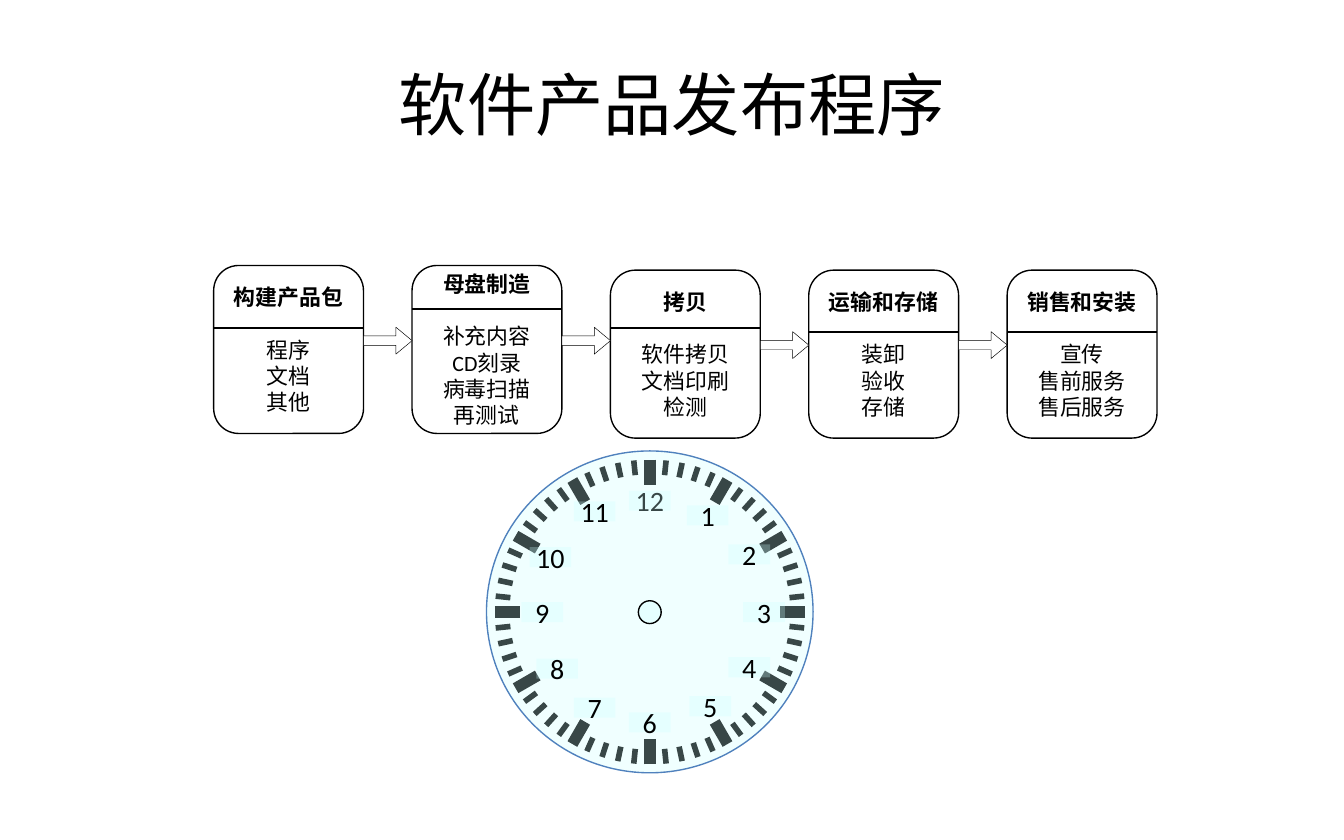
import math

from lxml import etree
from pptx import Presentation
from pptx.dml.color import RGBColor
from pptx.enum.shapes import MSO_CONNECTOR, MSO_SHAPE
from pptx.enum.text import MSO_ANCHOR, PP_ALIGN
from pptx.oxml.ns import qn
from pptx.util import Inches, Pt

STRAIGHT = MSO_CONNECTOR.STRAIGHT
ROUNDED, RECT = MSO_SHAPE.ROUNDED_RECTANGLE, MSO_SHAPE.RECTANGLE
ARROW, OVAL = MSO_SHAPE.RIGHT_ARROW, MSO_SHAPE.OVAL
CENTER, MIDDLE = PP_ALIGN.CENTER, MSO_ANCHOR.MIDDLE

BLACK, WHITE, AQUA, BLUE = "000000", "FFFFFF", "CCFFFF", "4F81BD"

prs = Presentation()
prs.slide_width, prs.slide_height = Inches(10), Inches(6.25)
s = prs.slides.add_slide(prs.slide_layouts[6])
U = prs.slide_width // 100  # grid of 100 columns by 62.5 rows


def paint(sp, fill=None, line=None, width=0.75, alpha=None):
    """Set fill, opacity in percent and outline, and remove the shadow."""
    props = sp._element.spPr
    if fill:
        sp.fill.solid()
        sp.fill.fore_color.rgb = RGBColor.from_string(fill)
        if alpha:
            color = props.find(qn("a:solidFill"))[0]
            etree.SubElement(color, qn("a:alpha"), val=str(alpha * 1000))
    elif hasattr(sp, "fill"):
        sp.fill.background()
    if line:
        sp.line.color.rgb = RGBColor.from_string(line)
        sp.line.width = Pt(width)
    else:
        sp.line.fill.background()
    etree.SubElement(props, qn("a:effectLst"))


def write(p, text, size, bold=False):
    p.alignment = CENTER
    r = p.add_run()
    r.text = text
    r.font.name, r.font.size, r.font.bold = "Calibri", Pt(size), bold
    r.font.color.rgb = RGBColor.from_string(BLACK)


# Title
title = s.shapes.add_textbox(5 * U, 2.5 * U, 90 * U, 10.4 * U)
tf = title.text_frame
tf.word_wrap, tf.vertical_anchor = True, MIDDLE
write(tf.paragraphs[0], "软件产品发布程序", 36.6)

# Process steps: heading, lines below it, box top and divider row
steps = [
    ("构建产品包", ["程序", "文档", "其他"], 19.75, 24.4),
    ("母盘制造", ["补充内容", "CD刻录", "病毒扫描", "再测试"], 19.75, 23),
    ("拷贝", ["软件拷贝", "文档印刷", "检测"], 20.1, 24.4),
    ("运输和存储", ["装卸", "验收", "存储"], 20.1, 24.7),
    ("销售和安装", ["宣传", "售前服务", "售后服务"], 20.1, 24.7),
]
arrow_tops = [24.35, 24.35, 24.68, 24.68]
BOX_W, BOX_H, PITCH = 11.15, 12.5, 14.76
for i, (heading, lines, top, divider) in enumerate(steps):
    left = 15.9 + i * PITCH
    box = s.shapes.add_shape(ROUNDED, int(left * U), int(top * U), int(BOX_W * U), int(BOX_H * U))
    paint(box, line=BLACK)
    tf = box.text_frame
    tf.word_wrap, tf.vertical_anchor = False, MIDDLE
    write(tf.paragraphs[0], heading, 11.7, True)
    for j, text in enumerate(lines):
        p = tf.add_paragraph()
        if j == 0:
            p.space_before = Pt(14)
        write(p, text, 11.7)
    rule = s.shapes.add_connector(STRAIGHT, int(left * U), int(divider * U),
                                  int((left + BOX_W) * U), int(divider * U))
    paint(rule, line=BLACK)

for i, top in enumerate(arrow_tops):
    left = 15.9 + i * PITCH + BOX_W
    arrow = s.shapes.add_shape(ARROW, int(left * U), int(top * U), int((PITCH - BOX_W) * U), 2 * U)
    arrow.adjustments[0], arrow.adjustments[1] = 0.35, 0.6
    paint(arrow, WHITE, BLACK, 0.25)

# Clock: 60 ticks, long and thick at the hours
clock = s.shapes.add_group_shape().shapes
CX, CY, RX, RY = 48.36, 45.54, 11.54, 11.34
for minute in range(60):
    angle = math.radians(6 * minute)
    hour = minute % 5 == 0
    ends = []
    for inset in (0, 1.9 if hour else 1.1):
        ends += [int((CX + (RX - inset) * math.sin(angle)) * U),
                 int((CY - (RY - inset) * math.cos(angle)) * U)]
    paint(clock.add_connector(STRAIGHT, *ends), line=BLACK, width=6 if hour else 3)

# Left and top of each number; the translucent face lies above the 12
numbers = {12: (46.8, 36.5), 1: (51.1, 37.6), 2: (54.2, 40.5), 3: (55.3, 44.8),
           4: (54.2, 48.9), 5: (51.3, 51.8), 6: (46.8, 53), 7: (42.7, 51.9),
           8: (39.9, 49), 9: (38.8, 44.8), 10: (39.4, 40.7), 11: (42.7, 37.3)}
for number, (left, top) in numbers.items():
    label = clock.add_shape(RECT, int(left * U), int(top * U), int(3.1 * U), int(1.5 * U))
    paint(label, AQUA, alpha=28)
    tf = label.text_frame
    tf.word_wrap, tf.vertical_anchor = True, MIDDLE
    tf.margin_left = tf.margin_right = int(0.2 * U)
    write(tf.paragraphs[0], str(number), 15)
    if number == 12:
        face = clock.add_shape(OVAL, int(36.2 * U), int(33.55 * U), int(24.3 * U), int(23.95 * U))
        paint(face, AQUA, BLUE, alpha=28)

hub = clock.add_shape(OVAL, int(47.5 * U), int(44.7 * U), int(1.7 * U), int(1.7 * U))
paint(hub, AQUA, BLACK, alpha=28)

prs.save("out.pptx")
